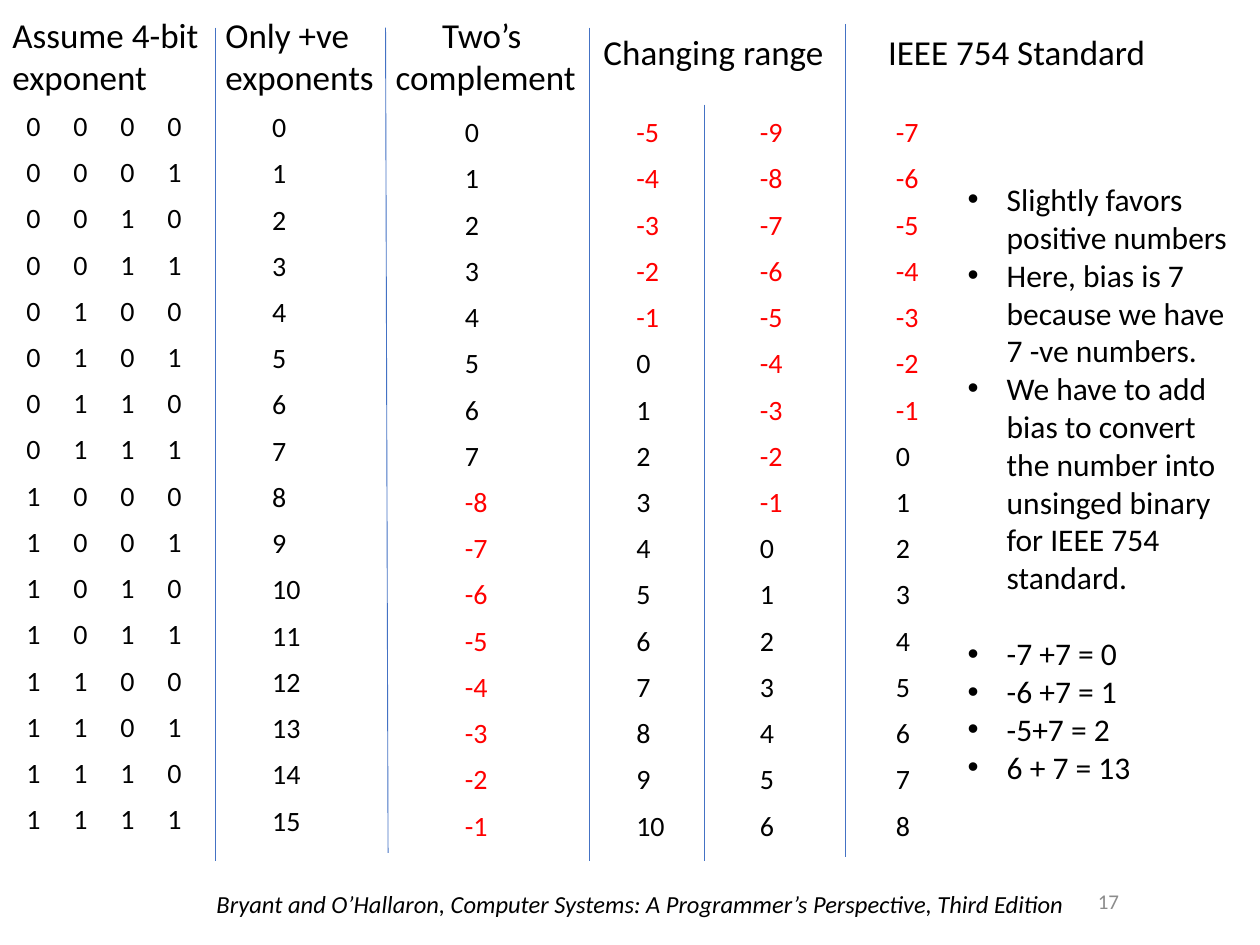
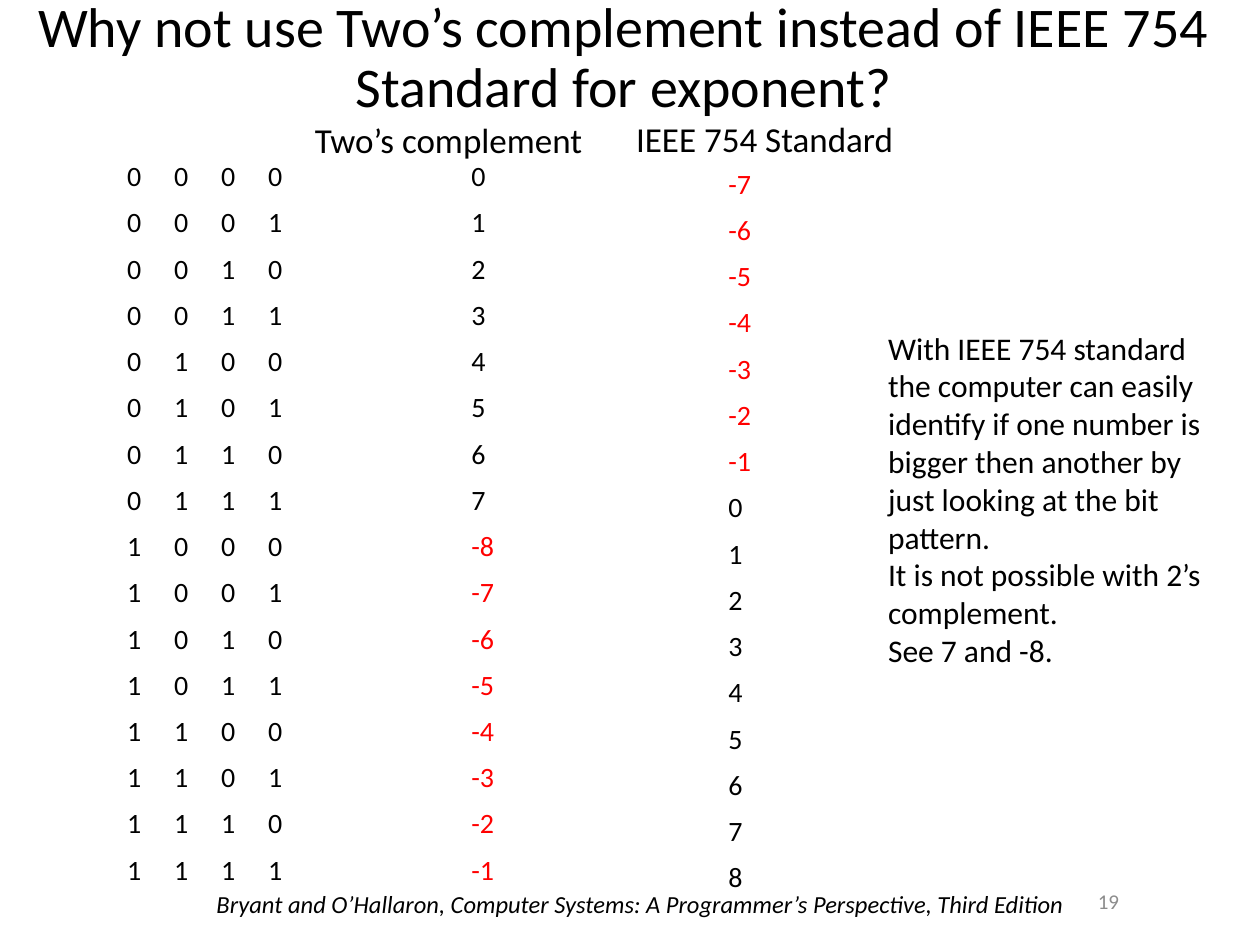
from lxml.etree import SubElement
from pptx import Presentation
from pptx.dml.color import RGBColor
from pptx.enum.shapes import MSO_CONNECTOR
from pptx.enum.text import MSO_ANCHOR, MSO_AUTO_SIZE, PP_ALIGN
from pptx.oxml.ns import qn
from pptx.util import Inches, Pt

BLACK = RGBColor(0x00, 0x00, 0x00)
RED = RGBColor(0xFF, 0x00, 0x00)
GRAY = RGBColor(0x8C, 0x8C, 0x8C)
BLUE = RGBColor(0x44, 0x72, 0xC4)
FONT = "Calibri"
NO_STYLE_NO_GRID = "{2D5ABB26-0587-4C30-8999-92F81FD0307C}"

SLIDE_WIDTH, SLIDE_HEIGHT = Inches(10), Inches(7.5)
GRID_COLUMNS, GRID_ROWS = 100, 75
TITLE_AND_CONTENT, TITLE_ONLY = 1, 5

BIT_COUNT = 4
PATTERNS = range(2 ** BIT_COUNT)
BIT_ROWS = [list(f"{pattern:0{BIT_COUNT}b}") for pattern in PATTERNS]
BIT_WIDTH, VALUE_WIDTH = 3.73, 6.4
ROW_HEIGHT = 3.67

FOOTER = "Bryant and O’Hallaron, Computer Systems: A Programmer’s Perspective, Third Edition"
BIAS_NOTES = [
    "Slightly favors positive numbers",
    "Here, bias is 7 because we have 7 -ve numbers.",
    "We have to add bias to convert the number into unsinged binary for IEEE 754 standard.",
]
BIAS_SUMS = ["-7 +7 = 0", "-6 +7 = 1", "-5+7 = 2", "6 + 7 = 13"]
COMPARISON_NOTES = [
    "With IEEE 754 standard the computer can easily identify if one number is bigger "
    "then another by just looking at the bit pattern.",
    "It is not possible with 2’s complement.",
    "See 7 and -8.",
]


def across(columns):
    return round(SLIDE_WIDTH * columns / GRID_COLUMNS)


def down(rows):
    return round(SLIDE_HEIGHT * rows / GRID_ROWS)


def grid_box(left, top, width, height):
    return across(left), down(top), across(width), down(height)


def place(shape, box):
    shape.left, shape.top, shape.width, shape.height = grid_box(*box)


def write(text_frame, lines, size, color=BLACK, align=PP_ALIGN.LEFT, italic=False):
    text_frame.auto_size = MSO_AUTO_SIZE.NONE
    text_frame.text = "\n".join(lines)
    for paragraph in text_frame.paragraphs:
        paragraph.alignment = align
        paragraph.space_before = Pt(0)
        font = paragraph.font
        font.name, font.size, font.italic = FONT, Pt(size), italic
        font.color.rgb = color


def add_text(slide, box, lines, size, wrap=True, **style):
    text_frame = slide.shapes.add_textbox(*grid_box(*box)).text_frame
    write(text_frame, lines, size, **style)
    text_frame.word_wrap = wrap
    return text_frame


def add_heading(slide, box, *lines, align=PP_ALIGN.CENTER):
    add_text(slide, box, lines, 20, wrap=False, align=align)


def add_footer(slide, number):
    add_text(slide, (16.2, 70.1, 71, 3.4), [FOOTER], 14, italic=True)
    number_frame = add_text(slide, (85.7, 69.5, 4.1, 4), [str(number)], 12,
                            color=GRAY, align=PP_ALIGN.RIGHT)
    number_frame.vertical_anchor = MSO_ANCHOR.MIDDLE


def clear_cell(cell):
    properties = cell._tc.get_or_add_tcPr()
    for side in ("a:lnL", "a:lnR", "a:lnT", "a:lnB"):
        SubElement(SubElement(properties, qn(side)), qn("a:noFill"))
    cell.fill.background()


def add_grid_table(slide, left, top, rows, column_width):
    box = left, top, column_width * len(rows[0]), ROW_HEIGHT * len(rows)
    table = slide.shapes.add_table(len(rows), len(rows[0]), *grid_box(*box)).table
    table.first_row = table.horz_banding = False
    table._tbl.tblPr.find(qn("a:tableStyleId")).text = NO_STYLE_NO_GRID
    for column in table.columns:
        column.width = across(column_width)
    for table_row, values in zip(table.rows, rows):
        table_row.height = down(ROW_HEIGHT)
        for cell, value in zip(table_row.cells, values):
            clear_cell(cell)
            cell.margin_top, cell.margin_bottom = Inches(0.05), Inches(0.04)
            write(cell.text_frame, [str(value)], 16, RED if int(value) < 0 else BLACK)


def add_bits(slide, left, top):
    add_grid_table(slide, left, top, BIT_ROWS, BIT_WIDTH)


def add_values(slide, left, top, values):
    add_grid_table(slide, left, top, [[value] for value in values], VALUE_WIDTH)


def biased(bias):
    return [pattern - bias for pattern in PATTERNS]


def twos_complement():
    half = len(PATTERNS) // 2
    return [*range(half), *range(-half, 0)]


def add_divider(slide, top_left, top, bottom_left, bottom):
    line = slide.shapes.add_connector(
        MSO_CONNECTOR.STRAIGHT, across(top_left), down(top), across(bottom_left), down(bottom))
    line.line.color.rgb = BLUE
    line.line.width = Pt(0.5)
    SubElement(line._element.spPr, qn("a:effectLst"))


def fill_bullets(body, box, lines):
    place(body, box)
    write(body.text_frame, lines, 18)
    for paragraph in body.text_frame.paragraphs:
        properties = paragraph._p.get_or_add_pPr()
        properties.set("marL", str(Inches(0.31)))
        properties.set("indent", str(-Inches(0.31)))
        bullet_font = properties.makeelement(qn("a:buFont"), {"typeface": "Arial"})
        bullet = properties.makeelement(qn("a:buChar"), {"char": "•"})
        for element in (bullet_font, bullet):
            properties.find(qn("a:defRPr")).addprevious(element)


def build_encodings(presentation):
    slide = presentation.slides.add_slide(presentation.slide_layouts[TITLE_AND_CONTENT])
    title = slide.shapes.title._element
    title.getparent().remove(title)
    add_footer(slide, 17)

    add_heading(slide, (0, 0.6, 17.6, 7.7), "Assume 4-bit", "exponent", align=PP_ALIGN.LEFT)
    add_heading(slide, (16.9, 0.6, 13.9, 7.7), "Only +ve", "exponents", align=PP_ALIGN.LEFT)
    add_heading(slide, (30.3, 0.6, 16.5, 7.7), "Two’s ", "complement")
    add_heading(slide, (46.8, 1.9, 20.3, 4.4), "Changing range ")
    add_heading(slide, (69.4, 1.9, 22.6, 4.4), "IEEE 754 Standard")

    for divider in [(17.1, 2.2, 17.1, 68.3), (30.6, 2.2, 30.8, 67.7), (46.8, 2.2, 46.8, 68.3),
                    (55.9, 8.3, 55.9, 68.3), (67.1, 1.9, 67.1, 68)]:
        add_divider(slide, *divider)

    add_bits(slide, 1.1, 8.2)
    add_values(slide, 20.6, 8.3, PATTERNS)
    add_values(slide, 35.9, 8.7, twos_complement())
    for left, bias in [(49.5, 5), (59.3, 9), (70.1, 7)]:
        add_values(slide, left, 8.7, biased(bias))

    body = slide.placeholders[1]
    fill_bullets(body, (75.8, 13.8, 23.9, 52.5), BIAS_NOTES + BIAS_SUMS)
    body.text_frame.paragraphs[len(BIAS_NOTES)].space_before = Pt(22)


def build_comparison(presentation):
    slide = presentation.slides.add_slide(presentation.slide_layouts[TITLE_ONLY])
    title = slide.shapes.title
    place(title, (-0.5, -1.4, 100, 12.2))
    write(title.text_frame,
          ["Why not use Two’s complement instead of IEEE 754 Standard for exponent?"],
          32, align=PP_ALIGN.CENTER)
    title.text_frame.vertical_anchor = MSO_ANCHOR.MIDDLE
    title.text_frame.paragraphs[0].line_spacing = 0.9
    add_footer(slide, 19)

    add_heading(slide, (16.5, 8.9, 38.2, 4.4), "Two’s complement")
    add_heading(slide, (49.4, 8.8, 22.6, 4.4), "IEEE 754 Standard")
    add_bits(slide, 9.1, 12.2)
    add_values(slide, 36.4, 12.2, twos_complement())
    add_values(slide, 56.8, 12.8, biased(7))
    add_text(slide, (69.5, 25.6, 28.5, 28.3), COMPARISON_NOTES, 18)


def main():
    presentation = Presentation()
    presentation.slide_width, presentation.slide_height = SLIDE_WIDTH, SLIDE_HEIGHT
    build_encodings(presentation)
    build_comparison(presentation)
    presentation.save("out.pptx")


if __name__ == "__main__":
    main()
